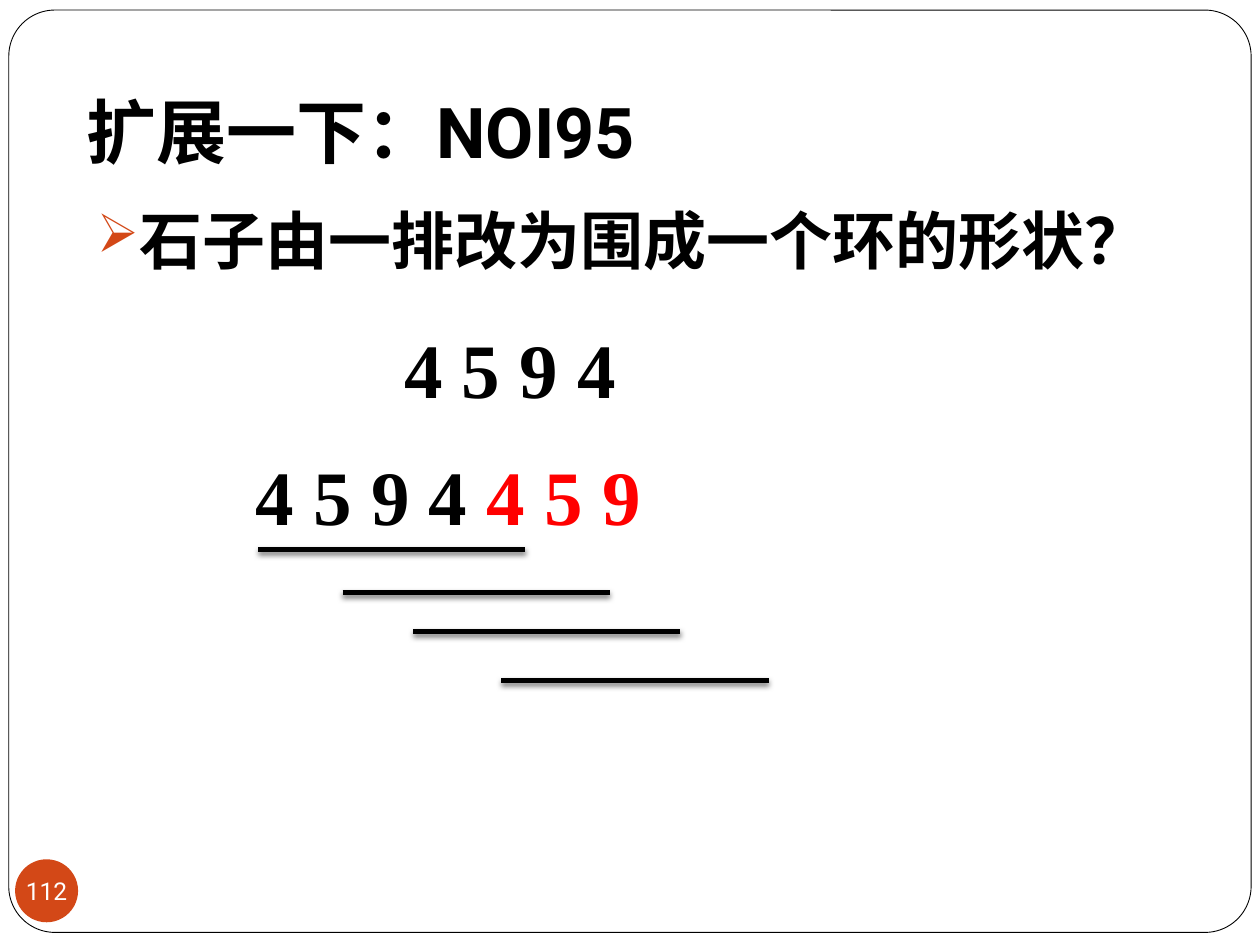
from lxml.etree import SubElement
from pptx import Presentation
from pptx.dml.color import RGBColor
from pptx.enum.shapes import MSO_CONNECTOR as CONN, MSO_SHAPE as SHAPE
from pptx.enum.text import MSO_ANCHOR as ANCHOR, PP_ALIGN as ALIGN
from pptx.oxml.ns import qn
from pptx.util import Inches, Pt

COLORS = {"black": "000000", "white": "FFFFFF", "red": "FF0000", "orange": "D34817"}
SANS, SERIF = "Roboto", "Times New Roman"

# box, runs of (text, colour), font, anchor, wrap
TEXTS = {
    "title": ((0.59, 0.6, 7.95, 0.87), [("扩展一下：NOI95", "black")],
              {"name": SANS, "size": Pt(40), "bold": True}, ANCHOR.BOTTOM, True),
    "question": ((0.67, 1.55, 8.5, 0.79), [("石子由一排改为围成一个环的形状？", "black")],
                 {"name": SERIF, "size": Pt(36), "bold": True}, ANCHOR.TOP, True),
    "row": ((3.11, 2.5, 2.36, 0.84), [("4 5 9 4", "black")],
            {"name": SERIF, "size": Pt(44), "bold": True}, ANCHOR.TOP, False),
    "doubled row": ((1.93, 3.51, 5.04, 0.84), [("4 5 9 4 ", "black"), ("4 5 9", "red")],
                    {"name": SERIF, "size": Pt(44), "bold": True}, ANCHOR.TOP, True),
}
PAGE_NUMBER = "112"
WINDOW_WIDTH = 2.12
WINDOW_STARTS = [(2.05, 4.36), (2.72, 4.7), (3.28, 5.01), (3.98, 5.4)]


def rgb(name):
    return RGBColor.from_string(COLORS[name])


def add_runs(p, runs, font):
    for text, color in runs:
        r = p.add_run()
        r.text = text
        for key, value in font.items():
            setattr(r.font, key, value)
        r.font.color.rgb = rgb(color)


def add_shape(slide, kind, box, fill):
    s = slide.shapes.add_shape(kind, *map(Inches, box))
    s.shadow.inherit = False
    s.fill.solid()
    s.fill.fore_color.rgb = rgb(fill)
    s.line.fill.background()
    return s


def add_text(slide, box, runs, font, anchor, wrap):
    tf = slide.shapes.add_textbox(*map(Inches, box)).text_frame
    tf.word_wrap, tf.vertical_anchor = wrap, anchor
    if anchor == ANCHOR.BOTTOM:
        tf.margin_bottom = Inches(0.1)
    p = tf.paragraphs[0]
    add_runs(p, runs, font)
    return p


def add_bullet(p, char, color, percent, indent):
    pPr = p._p.get_or_add_pPr()
    pPr.set("marL", str(Inches(indent)))
    pPr.set("indent", str(-Inches(indent)))
    clr = SubElement(pPr, qn("a:buClr"))
    SubElement(clr, qn("a:srgbClr"), val=COLORS[color])
    SubElement(pPr, qn("a:buSzPct"), val=str(percent * 1000))
    SubElement(pPr, qn("a:buChar"), char=char)


def add_window(slide, x, y):
    """Underline one window of four stones, with a soft shadow below."""
    s = slide.shapes.add_connector(
        CONN.STRAIGHT, *map(Inches, (x, y, x + WINDOW_WIDTH, y)))
    s.line.color.rgb = rgb("black")
    s.line.width = Pt(3)
    effects = SubElement(s._element.spPr, qn("a:effectLst"))
    shadow = SubElement(effects, qn("a:outerShdw"), blurRad=str(Pt(3)),
                        dist=str(Pt(2)), dir="5400000", rotWithShape="0")
    clr = SubElement(shadow, qn("a:srgbClr"), val=COLORS["black"])
    SubElement(clr, qn("a:alpha"), val="50000")


def main():
    prs = Presentation()
    prs.slide_width, prs.slide_height = Inches(10), Inches(7.5)
    slide = prs.slides.add_slide(prs.slide_layouts[6])

    frame = add_shape(slide, SHAPE.ROUNDED_RECTANGLE, (0.07, 0.08, 9.86, 7.32), "white")
    frame.adjustments[0] = 0.05
    frame.line.color.rgb = rgb("black")
    frame.line.width = Pt(0.5)

    paragraphs = {name: add_text(slide, *text) for name, text in TEXTS.items()}
    add_bullet(paragraphs["question"], "➢", "orange", 85, 0.3)

    badge = add_shape(slide, SHAPE.OVAL, (0.12, 6.82, 0.5, 0.5), "orange")
    tf = badge.text_frame
    tf.word_wrap, tf.vertical_anchor = False, ANCHOR.MIDDLE
    for side in ("left", "top", "right", "bottom"):
        setattr(tf, f"margin_{side}", 0)
    p = tf.paragraphs[0]
    p.alignment = ALIGN.CENTER
    add_runs(p, [(PAGE_NUMBER, "white")], {"name": SANS, "size": Pt(14)})

    for x, y in WINDOW_STARTS:
        add_window(slide, x, y)
    prs.save("out.pptx")


if __name__ == "__main__":
    main()
